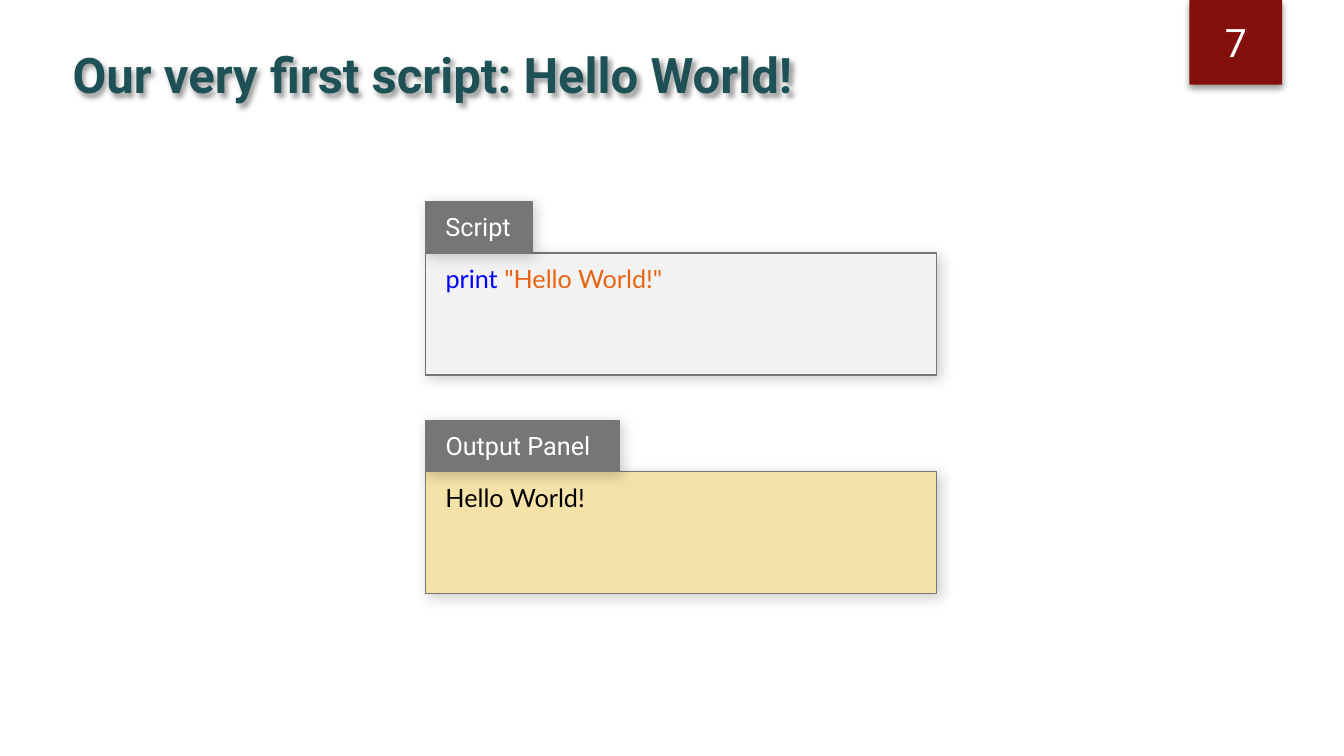
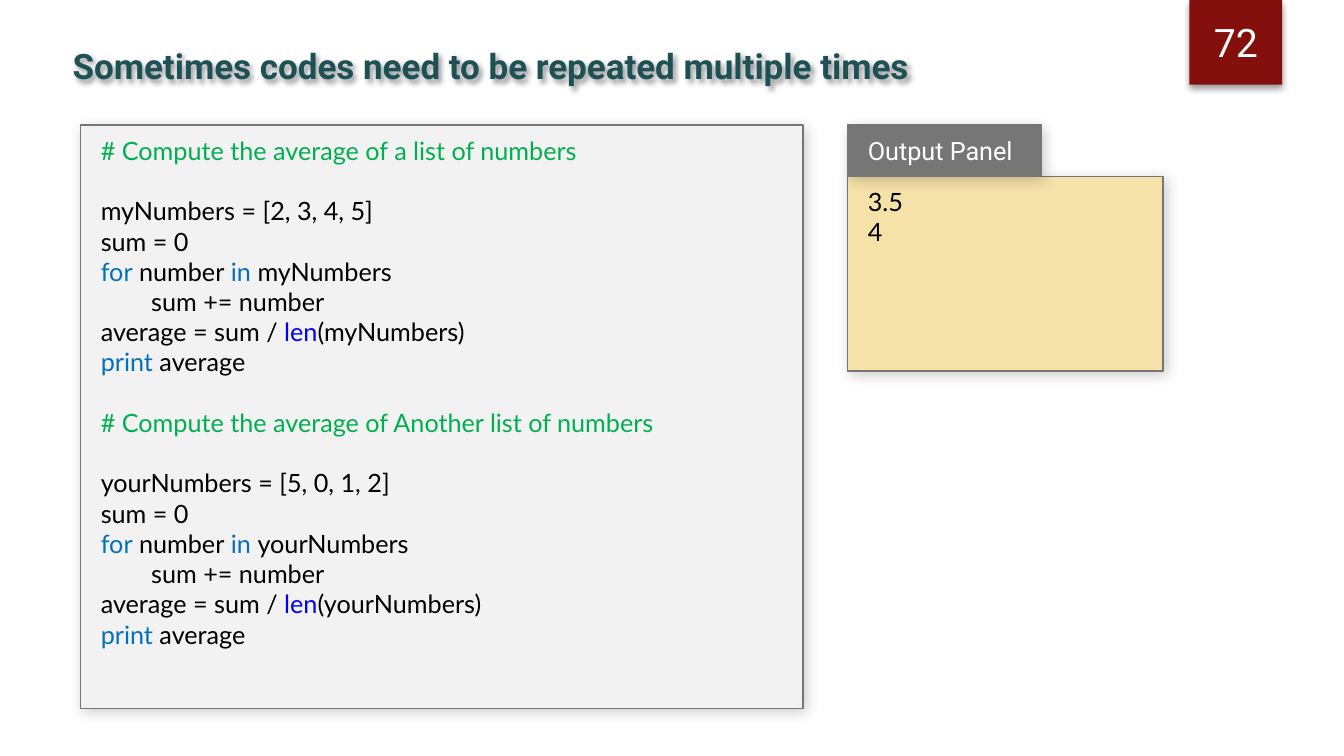
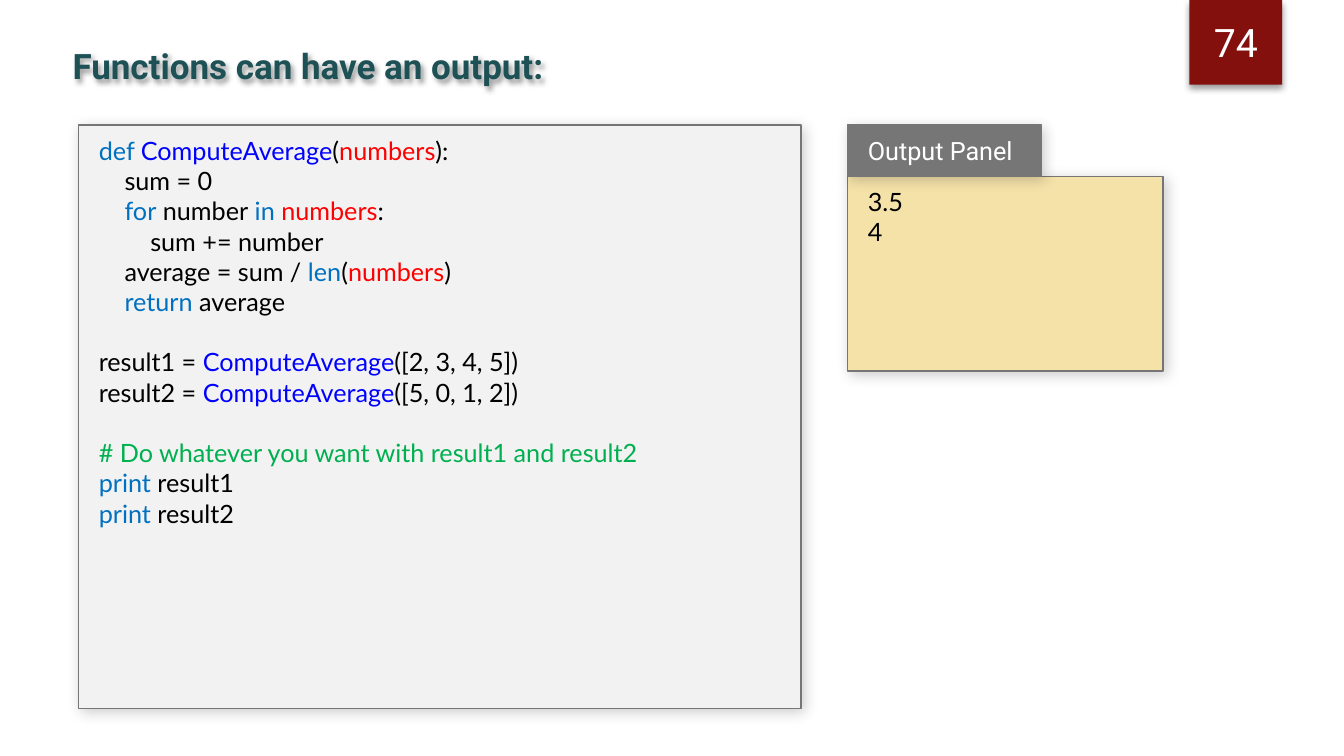
from functools import partial

from lxml.etree import SubElement
from pptx import Presentation
from pptx.dml.color import RGBColor
from pptx.enum.shapes import MSO_SHAPE as Preset
from pptx.enum.text import MSO_ANCHOR as Anchor, MSO_AUTO_SIZE as AutoSize, PP_ALIGN as Align
from pptx.oxml.ns import qn
from pptx.util import Inches, Pt

COLOURS = {
    "title": "1E5155", "badge": "84100E", "edge": "767676", "white": "FFFFFF",
    "script": "F2F2F2", "output": "F5E2A9", "shadow": "000000",
    "plain": "000000", "keyword": "0070C0", "name": "0000FF",
    "argument": "FF0000", "comment": "00B050", "string": "EA6312",
}
HEADING_FONT, CODE_FONT = "Roboto", "Lato"
CELL = Inches(1) / 6  # the slide is a grid of 80 columns and 45 rows
COLUMNS, ROWS = 80, 45
TAB_HEIGHT = 3.06
CODE_SIZE = 18
BLANK_LINE = Pt(CODE_SIZE * 1.2)


def rgb(name):
    return RGBColor.from_string(COLOURS[name])


def cells(*counts):
    return [round(count * CELL) for count in counts]


def coloured(colour, text):
    return text, colour


keyword, name, argument, comment, string = (
    partial(coloured, colour)
    for colour in ("keyword", "name", "argument", "comment", "string"))


class Deck:
    """The shared style, and the slide being filled."""

    def __init__(self):
        self.file = Presentation()
        self.file.slide_width, self.file.slide_height = cells(COLUMNS, ROWS)
        self.slide = None

    def start(self, title, number, title_size=25):
        self.slide = self.file.slides.add_slide(self.file.slide_layouts[1])
        heading = self.slide.shapes.title
        self.place(heading, 3.72, 2.34, 65.52, 3.84)
        frame = heading.text_frame
        frame.auto_size, frame.vertical_anchor = AutoSize.NONE, Anchor.TOP
        frame.text = title
        self.style(frame.paragraphs[0], HEADING_FONT, title_size, "title", bold=True)
        self.cast_shadow(heading, opacity=40, blur=4, angle=45)
        self.badge(number)

    def place(self, shape, *box):
        shape.left, shape.top, shape.width, shape.height = cells(*box)

    def style(self, paragraph, font, size, colour=None, bold=False, align=Align.LEFT):
        paragraph.alignment = align
        paragraph.font.name, paragraph.font.size = font, Pt(size)
        paragraph.font.bold = bold
        if colour:
            paragraph.font.color.rgb = rgb(colour)

    def cast_shadow(self, shape, opacity=20, blur=10, angle=45):
        shape.shadow.inherit = False
        effects = shape._element.spPr.find(qn("a:effectLst"))
        outer = SubElement(effects, qn("a:outerShdw"), blurRad=str(Pt(blur)),
                           dist=str(Pt(3)), dir=str(angle * 60000),
                           algn="tl", rotWithShape="0")
        tint = SubElement(outer, qn("a:srgbClr"), val=COLOURS["shadow"])
        SubElement(tint, qn("a:alpha"), val=str(opacity * 1000))

    def rectangle(self, *box):
        return self.slide.shapes.add_shape(Preset.RECTANGLE, *cells(*box))

    def badge(self, number):
        badge = self.rectangle(70.8, 0, 5.52, 5.04)
        badge.fill.solid()
        badge.fill.fore_color.rgb = rgb("badge")
        badge.line.fill.background()
        self.cast_shadow(badge, opacity=40, blur=5, angle=90)
        badge.text_frame.text = str(number)
        badge.text_frame.vertical_anchor = Anchor.MIDDLE
        self.style(badge.text_frame.paragraphs[0], HEADING_FONT, 28, "white",
                   align=Align.CENTER)

    def dress(self, shape, fill):
        """Give a panel part its fill, edge, shadow and margins."""
        shape.fill.solid()
        shape.fill.fore_color.rgb = rgb(fill)
        shape.line.color.rgb = rgb("edge")
        shape.line.width = Pt(1)
        self.cast_shadow(shape)
        frame = shape.text_frame
        frame.word_wrap, frame.auto_size = True, AutoSize.NONE
        frame.vertical_anchor = Anchor.TOP
        frame.margin_left = frame.margin_right = Inches(0.2)
        frame.margin_top = frame.margin_bottom = Inches(0.1)
        return frame

    def write_code(self, frame, lines):
        """Write lines of runs; an empty line becomes space before the next."""
        gap, paragraph = 0, None
        for line in lines:
            if not line:
                gap += BLANK_LINE
                continue
            paragraph = frame.add_paragraph() if paragraph else frame.paragraphs[0]
            properties = paragraph._p.get_or_add_pPr()
            properties.set("marL", "0")
            properties.set("indent", "0")
            SubElement(properties, qn("a:buNone"))
            stops = SubElement(properties, qn("a:tabLst"))
            SubElement(stops, qn("a:tab"), pos=str(Inches(0.5)), algn="l")
            paragraph.space_before, gap = gap, 0
            self.style(paragraph, CODE_FONT, CODE_SIZE)
            for part in line:
                text, colour = (part, "plain") if isinstance(part, str) else part
                run = paragraph.add_run()
                run.text = text
                run.font.color.rgb = rgb(colour)

    def tab(self, label, left, top, width):
        frame = self.dress(self.rectangle(left, top, width, TAB_HEIGHT), "edge")
        frame.text = label
        self.style(frame.paragraphs[0], HEADING_FONT, 18, "white")

    def script(self, lines, *box):
        body = self.slide.placeholders[1]
        self.place(body, *box)
        self.write_code(self.dress(body, "script"), lines)

    def output(self, lines, left, top, width, height):
        """An output panel with its tab; top is the top of the tab."""
        panel = self.rectangle(left, top + TAB_HEIGHT, width, height)
        self.write_code(self.dress(panel, "output"), [[line] for line in lines])
        self.tab("Output Panel", left, top, 11.52)


def averaging(remark, variable, values):
    return [
        [comment(remark)],
        [],
        [f"{variable} = {values}"],
        ["sum = 0"],
        [keyword("for"), " number", keyword(" in "), variable],
        ["\tsum += number"],
        ["average = sum / ", name("len"), f"({variable})"],
        [keyword("print"), " average"],
    ]


def function_script():
    numbers = argument("numbers")
    call = name("ComputeAverage")
    return [
        [keyword("def "), call, "(", numbers, "):"],
        ["    sum = 0"],
        ["    ", keyword("for"), " number", keyword(" in "), numbers, ":"],
        ["        sum += number"],
        ["    average = sum / ", keyword("len"), "(", numbers, ")"],
        ["    ", keyword("return"), " average"],
        [],
        ["result1 = ", call, "([2, 3, 4, 5])"],
        ["result2 = ", call, "([5, 0, 1, 2])"],
        [],
        [comment("# Do whatever you want with result1 and result2")],
        [keyword("print"), " result1"],
        [keyword("print"), " result2"],
    ]


def main():
    deck = Deck()

    left, width, height = 25.32, 30.42, 7.26
    deck.start("Our very first script: Hello World!", 7, title_size=35)
    deck.script([[name("print "), string('"Hello World!"')]],
                left, 12 + TAB_HEIGHT, width, height)
    deck.tab("Script", left, 12, 6.36)
    deck.output(["Hello World!"], left, 25.02, width, height)

    repeated = (
        averaging("# Compute the average of a list of numbers",
                  "myNumbers", [2, 3, 4, 5])
        + [[]]
        + averaging("# Compute the average of Another list of numbers",
                    "yourNumbers", [5, 0, 1, 2]))
    top = 7.44
    for title, number, lines, left in (
            ("Sometimes codes need to be repeated multiple times", 72, repeated, 4.8),
            ("Functions can have an output:", 74, function_script(), 4.68)):
        deck.start(title, number)
        deck.script(lines, left, top, 43, 34.74)
        deck.output(["3.5", "4"], 50.46, top, 18.78, 11.58)

    deck.file.save("out.pptx")


if __name__ == "__main__":
    main()
